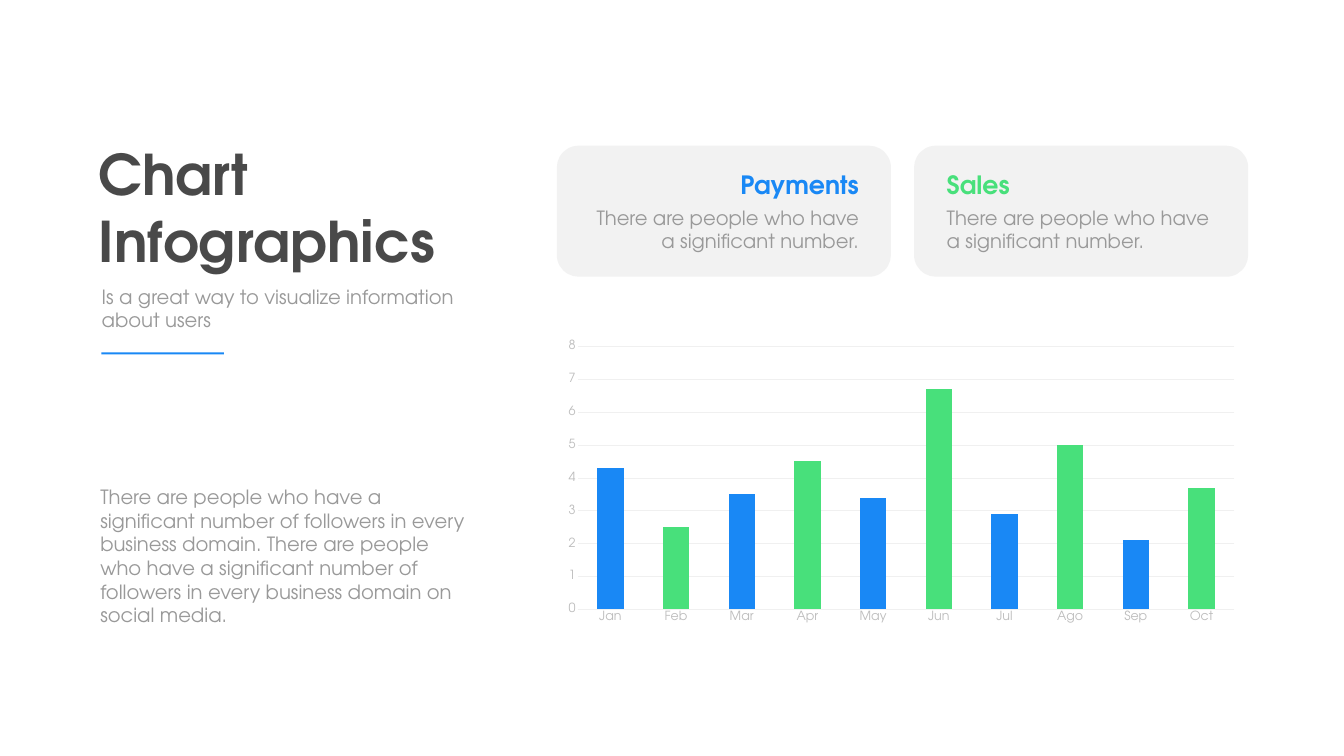
from dataclasses import dataclass

from lxml.etree import SubElement
from pptx import Presentation
from pptx.chart.data import CategoryChartData
from pptx.dml.color import RGBColor
from pptx.enum.chart import XL_CHART_TYPE, XL_TICK_MARK
from pptx.enum.shapes import MSO_SHAPE
from pptx.enum.text import MSO_ANCHOR, PP_ALIGN
from pptx.oxml.ns import qn
from pptx.util import Inches, Pt

BLUE = RGBColor(0x19, 0x88, 0xF5)
GREEN = RGBColor(0x48, 0xE0, 0x7B)
DARK = RGBColor(0x49, 0x49, 0x49)
GRAY = RGBColor(0x99, 0x99, 0x99)
PALE = RGBColor(0xBD, 0xBD, 0xBD)
GRID = RGBColor(0xF0, 0xF0, 0xF0)
PANEL = RGBColor(0xF2, 0xF2, 0xF2)
FONT = "TeX Gyre Adventor"

MONTHS = ["Jan", "Feb", "Mar", "Apr", "May", "Jun", "Jul", "Ago", "Sep", "Oct"]
VALUES = [4.3, 2.5, 3.5, 4.5, 3.4, 6.7, 2.9, 5, 2.1, 3.7]


@dataclass
class Box:
    """A place on the slide, in percent of its width and height."""
    x: float
    y: float
    w: float
    h: float


@dataclass
class Card:
    title: str
    color: RGBColor
    align: PP_ALIGN
    x: float
    pad: float


# Two cards share the width of the chart below them
PLOT = Box(41.43, 44.27, 51.44, 39.07)
CARD_W = 24.86
CARDS = [
    Card("Payments", BLUE, PP_ALIGN.RIGHT, PLOT.x, 1.39),
    Card("Sales", GREEN, PP_ALIGN.LEFT, PLOT.x + PLOT.w - CARD_W, 2.06),
]

prs = Presentation()
prs.slide_width, prs.slide_height = Inches(26.67), Inches(15)
slide = prs.slides.add_slide(prs.slide_layouts[6])


def place(box: Box) -> tuple[int, int, int, int]:
    wide, high = prs.slide_width / 100, prs.slide_height / 100
    return (round(box.x * wide), round(box.y * high),
            round(box.w * wide), round(box.h * high))


def style(font, size: float, color: RGBColor, bold: bool = False) -> None:
    font.name, font.size, font.bold = FONT, Pt(size), bold
    font.color.rgb = color


def write(text: str, box: Box, *, size: float = 28, color: RGBColor = GRAY,
          bold: bool = False, align: PP_ALIGN = PP_ALIGN.LEFT) -> None:
    frame = slide.shapes.add_textbox(*place(box)).text_frame
    frame.word_wrap = True
    frame.vertical_anchor = MSO_ANCHOR.TOP
    para = frame.paragraphs[0]
    para.alignment = align
    run = para.add_run()
    run.text = text
    style(run.font, size, color, bold)


def block(kind: MSO_SHAPE, box: Box, color: RGBColor) -> None:
    shape = slide.shapes.add_shape(kind, *place(box))
    shape.shadow.inherit = False
    shape.fill.solid()
    shape.fill.fore_color.rgb = color
    shape.line.fill.background()


def draw_card(card: Card) -> None:
    block(MSO_SHAPE.ROUNDED_RECTANGLE, Box(card.x, 19.27, CARD_W, 17.33), PANEL)
    left, width = card.x + card.pad, 21.45
    write(card.title, Box(left, 22.13, width, 4.73), size=36,
          color=card.color, bold=True, align=card.align)
    write("There are people who have a significant number.",
          Box(left, 26.87, width, 6.93), align=card.align)


def pin_plot(chart, **shares: float) -> None:
    """Fix the inner plot area, in shares of the chart's size."""
    area = chart._chartSpace.chart.plotArea
    for old in area.findall(qn("c:layout")):
        area.remove(old)
    layout = SubElement(area, qn("c:layout"))
    area.insert(0, layout)
    manual = SubElement(layout, qn("c:manualLayout"))
    parts = {"layoutTarget": "inner", "xMode": "edge", "yMode": "edge", **shares}
    for name, value in parts.items():
        SubElement(manual, qn(f"c:{name}")).set("val", str(value))


def draw_chart() -> None:
    data = CategoryChartData()
    data.categories = MONTHS
    data.add_series("Series 1", VALUES)
    chart = slide.shapes.add_chart(
        XL_CHART_TYPE.COLUMN_STACKED, *place(PLOT), data).chart
    chart.has_legend = chart.has_title = False
    style(chart.font, 18, GRAY)
    pin_plot(chart, x=0.03, y=0.04, w=0.95, h=0.89)

    # Axes and grid
    months, scale = chart.category_axis, chart.value_axis
    for axis in (months, scale):
        axis.major_tick_mark = axis.minor_tick_mark = XL_TICK_MARK.NONE
        style(axis.tick_labels.font, 18, PALE)
    scale.minimum_scale, scale.maximum_scale, scale.major_unit = 0, 8, 1
    scale.has_major_gridlines = True
    scale.format.line.fill.background()
    for line in (months.format.line, scale.major_gridlines.format.line):
        line.color.rgb = GRID
        line.width = Pt(0.75)

    # Columns take turns in blue and green
    plot = chart.plots[0]
    plot.gap_width, plot.overlap, plot.vary_by_categories = 150, 100, False
    series = plot.series[0]
    series.format.fill.solid()
    series.format.fill.fore_color.rgb = BLUE
    for i in range(1, len(VALUES), 2):
        fill = series.points[i].format.fill
        fill.solid()
        fill.fore_color.rgb = GREEN


# Left column
write("Chart Infographics", Box(6.97, 18.07, 27.52, 18.6),
      size=80, color=DARK, bold=True)
write("Is a great way to visualize information about users",
      Box(7.2, 37.33, 28.53, 6.93))
block(MSO_SHAPE.RECTANGLE, Box(7.54, 46.6, 9.11, 0.27), BLUE)
write("There are people who have a significant number of followers in every "
      "business domain. There are people who have a significant number of "
      "followers in every business domain on social media.",
      Box(7.09, 63.87, 28.53, 19.53))

# Right column
draw_chart()
for card in CARDS:
    draw_card(card)

prs.save("out.pptx")
